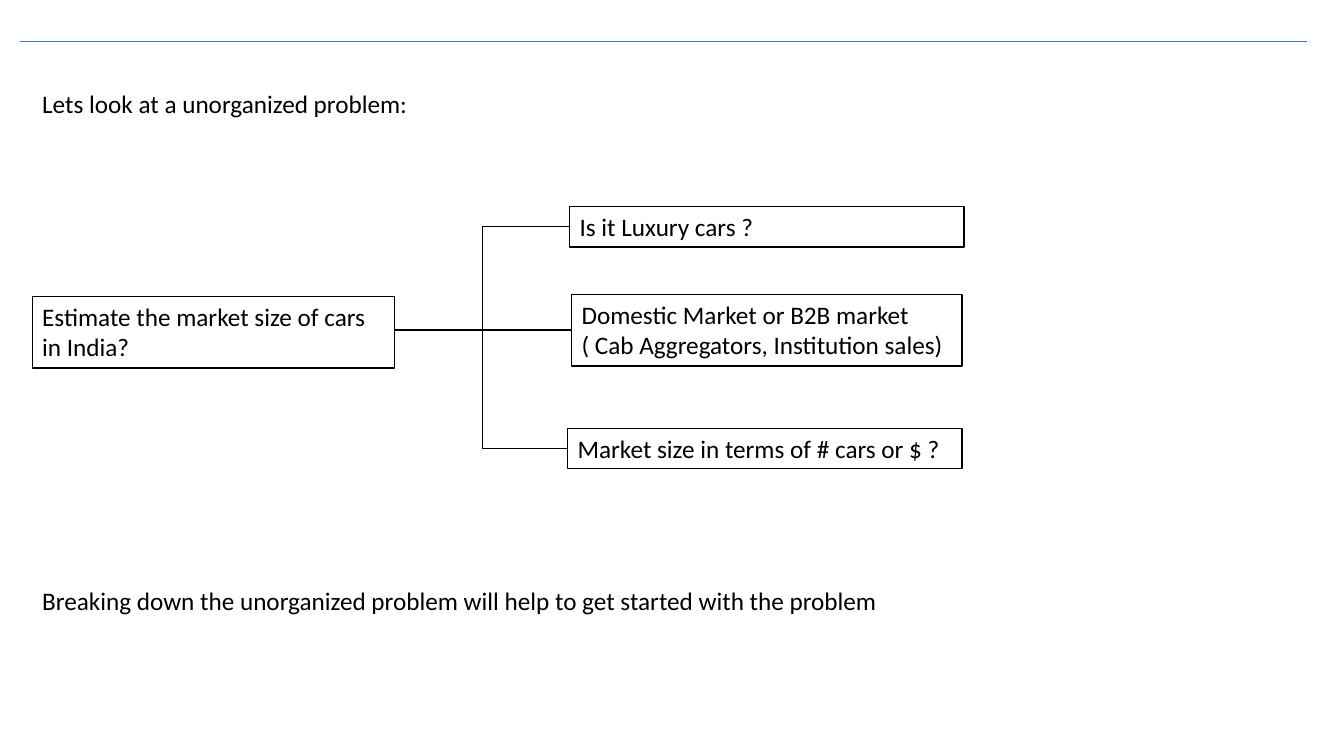
from lxml.etree import SubElement
from pptx import Presentation
from pptx.dml.color import RGBColor
from pptx.enum.shapes import MSO_CONNECTOR, MSO_SHAPE
from pptx.enum.text import MSO_ANCHOR, MSO_AUTO_SIZE, PP_ALIGN
from pptx.oxml.ns import qn
from pptx.util import Inches, Pt

BLACK = RGBColor(0x00, 0x00, 0x00)
WHITE = RGBColor(0xFF, 0xFF, 0xFF)
BLUE = RGBColor(0x44, 0x72, 0xC4)

# Branch boxes: text, offset from the tree's left and top, width, height
BRANCHES = [
    ("Is it Luxury cars ?", 5.33, 0, 3.91, 0.4),
    ("Domestic Market or B2B market\v( Cab Aggregators, Institution sales)",
     5.35, 0.87, 3.87, 0.71),
    ("Market size in terms of # cars or $ ?", 5.31, 2.2, 3.91, 0.4),
]


def add_line(page, start, end, color=BLACK, weight=1):
    line = page.shapes.add_connector(
        MSO_CONNECTOR.STRAIGHT, *(Inches(value) for value in start + end))
    line.line.color.rgb = color
    line.line.width = Pt(weight)
    SubElement(line._element.spPr, qn("a:effectLst"))


def write_text(shape, text):
    frame = shape.text_frame
    frame.text = text
    frame.word_wrap = True
    frame.auto_size = MSO_AUTO_SIZE.SHAPE_TO_FIT_TEXT
    frame.vertical_anchor = MSO_ANCHOR.TOP
    para = frame.paragraphs[0]
    para.alignment = PP_ALIGN.LEFT
    for span in para.runs:
        span.font.name = "Calibri"
        span.font.size = Pt(18)
        span.font.color.rgb = BLACK


def add_statement(page, left, top, width, height, text):
    box = page.shapes.add_textbox(
        Inches(left), Inches(top), Inches(width), Inches(height))
    write_text(box, text)


def add_node(page, left, top, width, height, text):
    box = page.shapes.add_shape(
        MSO_SHAPE.RECTANGLE,
        Inches(left), Inches(top), Inches(width), Inches(height))
    box.shadow.inherit = False
    box.fill.solid()
    box.fill.fore_color.rgb = WHITE
    box.line.color.rgb = BLACK
    box.line.width = Pt(1)
    write_text(box, text)


def add_problem_tree(page, left, top):
    # Root question
    root_width = 3.59
    add_node(page, left, top + 0.89, root_width, 0.71,
             "Estimate the market size of cars in India?")

    # Branches, each joined to the trunk at mid-height
    trunk = left + 4.46
    joints = []
    for text, offset_x, offset_y, width, height in BRANCHES:
        joint = top + offset_y + height / 2
        joints.append(joint)
        add_line(page, (trunk, joint), (left + offset_x, joint))
        add_node(page, left + offset_x, top + offset_y, width, height, text)

    # Stem from the root, and the trunk
    add_line(page, (left + root_width, joints[1]), (trunk, joints[1]))
    add_line(page, (trunk, joints[0]), (trunk, joints[-1]), weight=0.5)


def main():
    deck = Presentation()
    deck.slide_width = Inches(13.33)
    deck.slide_height = Inches(7.5)
    page = deck.slides.add_slide(deck.slide_layouts[6])

    # Header rule
    add_line(page, (0.2, 0.41), (12.96, 0.41), BLUE)

    add_problem_tree(page, 0.32, 2.05)

    # Opening and closing statements
    add_statement(page, 0.32, 0.83, 11.74, 0.4,
                  "Lets look at a unorganized problem:")
    add_statement(page, 0.32, 5.76, 11.74, 0.4,
                  "Breaking down the unorganized problem will help "
                  "to get started with the problem")

    deck.save("out.pptx")


if __name__ == "__main__":
    main()
